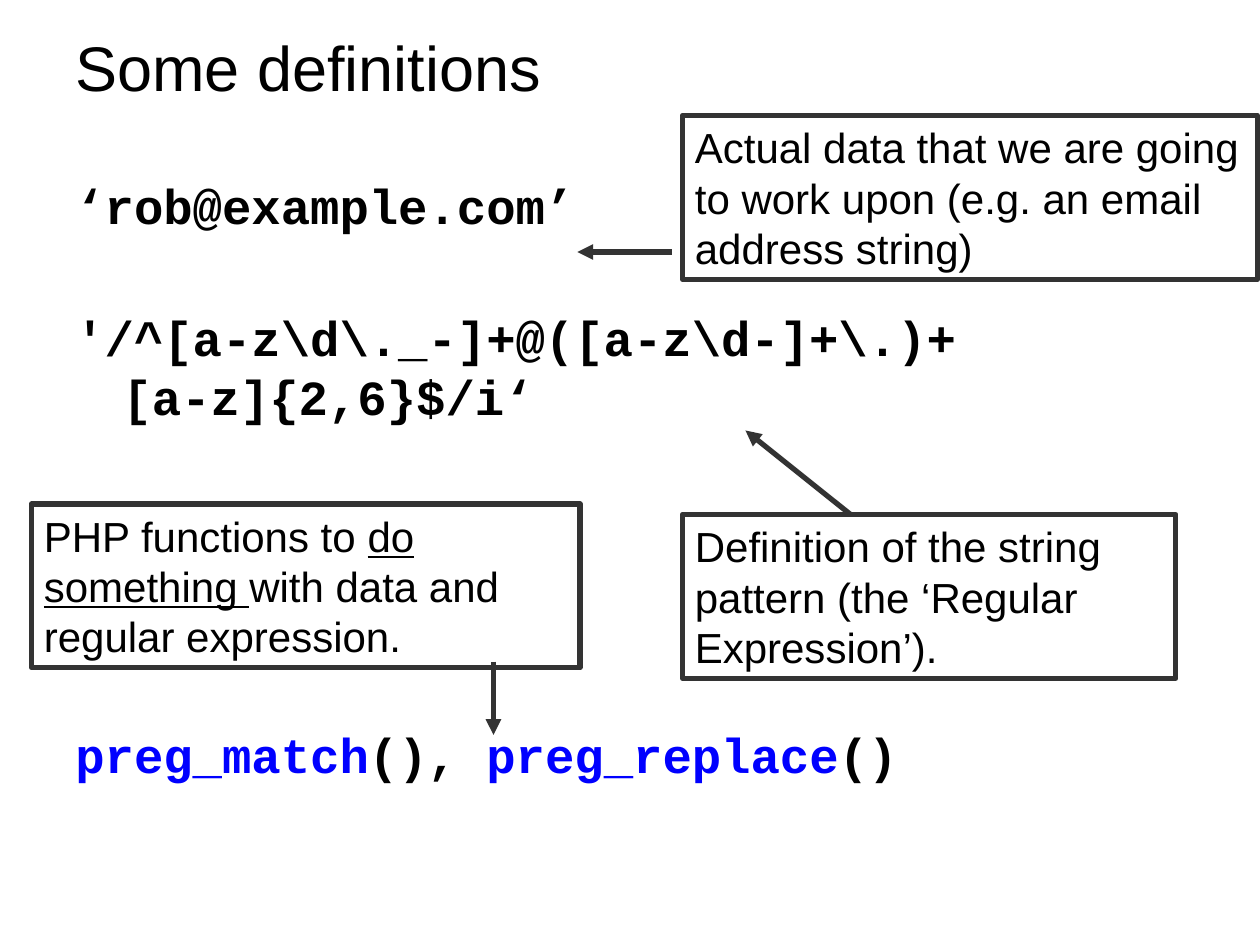
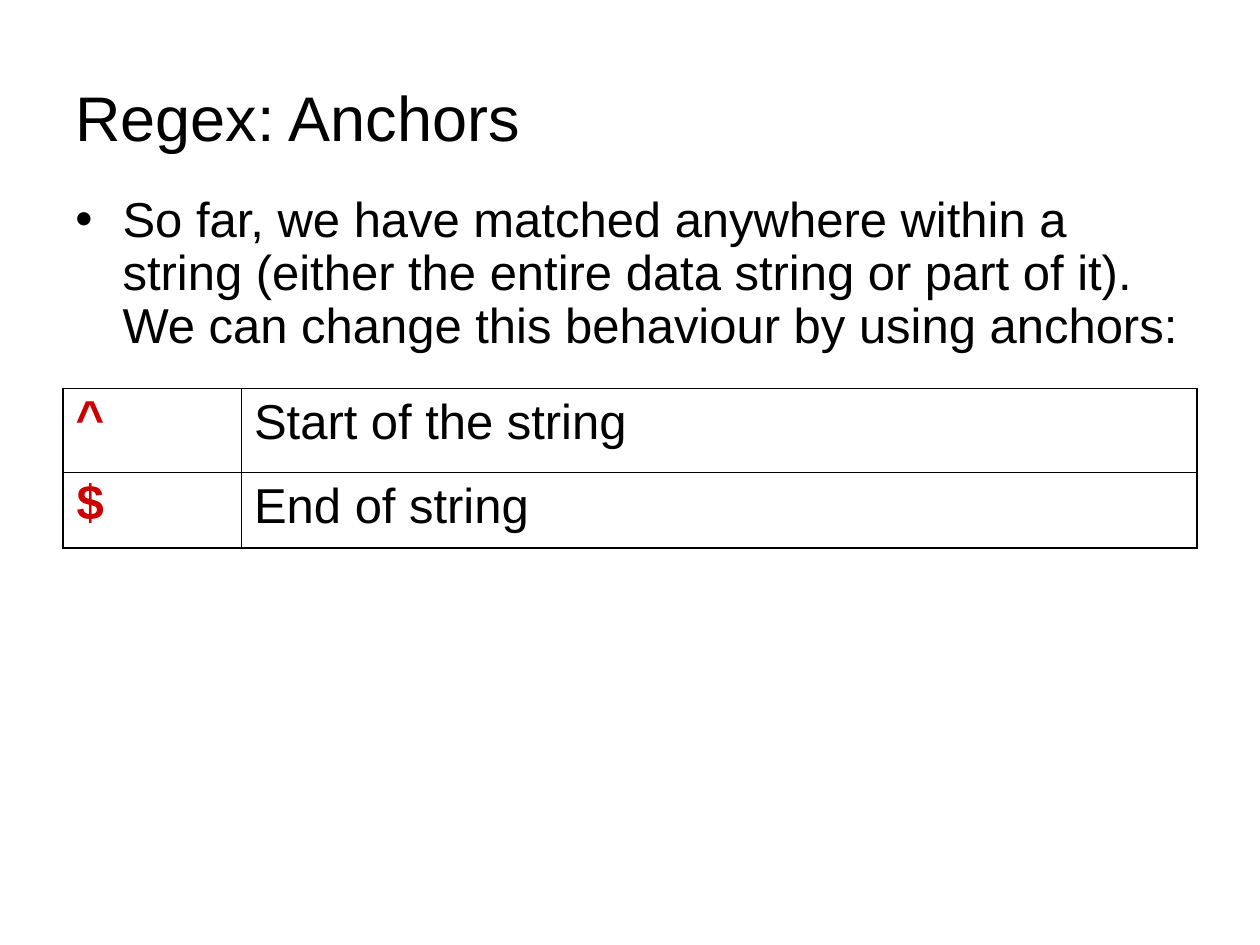
import pptx
import pptx.util
import pptx.dml.color
import pptx.enum.shapes
import pptx.enum.text
import pptx.oxml
import pptx.oxml.ns
from lxml import etree

Pt = pptx.util.Pt
ANCHOR = pptx.enum.text.MSO_ANCHOR

BLACK, BLUE, RED, GREY = "000000", "0000FF", "CC0000", "333333"
LEFT, WIDTH, HANG = 36, 648, 27
TITLE = {"size": 36}
NOTE = {"size": 24}
BODY = {"size": 28}
CODE = {"size": 28, "name": "Courier New", "bold": True}
SYMBOL = {**CODE, "color": RED}
FUNCTION = {**CODE, "color": BLUE}

# space before, runs
CODE_LINES = [
    (0, [("‘rob@example.com’", CODE)]),
    (41.5, [("'/^[a-z\\d\\._-]+@([a-z\\d-]+\\.)+\v[a-z]{2,6}$/i‘", CODE)]),
    (170.7, [("preg_match", FUNCTION), ("(), ", CODE),
             ("preg_replace", FUNCTION), ("()", CODE)]),
]
CODE_LINE_HEIGHT = 33.9

# left, top, width, runs, arrow start, arrow end
CALLOUTS = [
    (390, 66, 328.5,
     [("Actual data that we are going to work upon (e.g. an email address string)", NOTE)],
     (384, 144), (330, 144)),
    (390, 294, 282,
     [("Definition of the string pattern (the ‘Regular Expression’).", NOTE)],
     (486, 294), (426, 246)),
    (18, 288, 313.5,
     [("PHP functions to ", NOTE), ("do something ", {**NOTE, "underline": True}),
      ("with data and regular expression.", NOTE)],
     (282, 378), (282, 420)),
]
CALLOUT_HEIGHT = 93.6

ANCHORS_TEXT = ("So far, we have matched anywhere within a string (either the entire "
                "data string or part of it). We can change this behaviour by using anchors:")
ANCHORS = [("^", "Start of the string"), ("$", "End of string")]
COLUMN_WIDTHS, ROW_HEIGHTS = (102, 546), (48, 43.2)
OUTER, INNER = 1.08, 0.45


def rgb(value):
    return pptx.dml.color.RGBColor.from_string(value)


def add_runs(p, runs):
    for text, style in runs:
        for i, part in enumerate(text.split("\v")):
            if i:
                p.add_line_break()
            r = p.add_run()
            r.text = part
            values = {"name": "Arial", "bold": False, **style}
            r.font.color.rgb = rgb(values.pop("color", BLACK))
            values["size"] = Pt(values["size"])
            for key, value in values.items():
                setattr(r.font, key, value)


def add_text(s, top, height, anchor=ANCHOR.TOP):
    tf = s.shapes.add_textbox(Pt(LEFT), Pt(top), Pt(WIDTH), Pt(height)).text_frame
    tf.word_wrap = True
    tf.vertical_anchor = anchor
    return tf


def add_title(s, text, top, height):
    tf = add_text(s, top, height, ANCHOR.MIDDLE)
    add_runs(tf.paragraphs[0], [(text, TITLE)])


def hang(p, bullet=None):
    """Give the paragraph a hanging indent and, if asked, a bullet."""
    pPr = p._p.get_or_add_pPr()
    pPr.set("marL", str(Pt(HANG)))
    pPr.set("indent", str(-Pt(HANG)))
    if bullet:
        font = etree.SubElement(pPr, pptx.oxml.ns.qn("a:buFont"))
        font.set("typeface", "Arial")
        etree.SubElement(pPr, pptx.oxml.ns.qn("a:buChar")).set("char", bullet)


def add_callout(s, left, top, width, runs):
    sp = s.shapes.add_shape(pptx.enum.shapes.MSO_SHAPE.RECTANGLE,
                            Pt(left), Pt(top), Pt(width), Pt(CALLOUT_HEIGHT))
    sp.shadow.inherit = False
    sp.fill.background()
    sp.line.color.rgb = rgb(GREY)
    sp.line.width = Pt(3)
    tf = sp.text_frame
    tf.word_wrap = True
    tf.vertical_anchor = ANCHOR.TOP
    p = tf.paragraphs[0]
    p.alignment = pptx.enum.text.PP_ALIGN.LEFT
    add_runs(p, runs)


def add_arrow(s, start, end):
    line = s.shapes.add_connector(pptx.enum.shapes.MSO_CONNECTOR.STRAIGHT,
                                  *(Pt(v) for v in start + end))
    line.line.color.rgb = rgb(GREY)
    line.line.width = Pt(3)
    ln = line.line._get_or_add_ln()
    etree.SubElement(ln, pptx.oxml.ns.qn("a:tailEnd")).set("type", "triangle")
    etree.SubElement(line._element.spPr, pptx.oxml.ns.qn("a:effectLst"))


def set_borders(cell, widths):
    """Draw black borders; widths maps L, R, T, B to points."""
    tcPr = cell._tc.get_or_add_tcPr()
    for i, side in enumerate("LRTB"):
        ln = pptx.oxml.parse_xml(
            f'<a:ln{side} {pptx.oxml.ns.nsdecls("a")} w="{Pt(widths[side])}">'
            f'<a:solidFill><a:srgbClr val="{BLACK}"/></a:solidFill></a:ln{side}>')
        tcPr.insert(i, ln)


def add_anchor_table(s, top):
    table = s.shapes.add_table(len(ANCHORS), 2, Pt(LEFT), Pt(top),
                               Pt(WIDTH), Pt(sum(ROW_HEIGHTS))).table
    table.first_row = table.horz_banding = False
    for column, width in zip(table.columns, COLUMN_WIDTHS):
        column.width = Pt(width)
    for row, height in zip(table.rows, ROW_HEIGHTS):
        row.height = Pt(height)
    last = len(ANCHORS) - 1
    for i, texts in enumerate(ANCHORS):
        for j, (text, style) in enumerate(zip(texts, (SYMBOL, BODY))):
            cell = table.cell(i, j)
            cell.fill.background()
            add_runs(cell.text_frame.paragraphs[0], [(text, style)])
            edges = {"L": j == 0, "R": j == 1, "T": i == 0, "B": i == last}
            set_borders(cell, {k: OUTER if v else INNER for k, v in edges.items()})


def build_definitions(s):
    add_title(s, "Some definitions", 15, 46)
    tf = add_text(s, 92, 390)
    tf.margin_top = Pt(8)
    for i, (space, runs) in enumerate(CODE_LINES):
        p = tf.add_paragraph() if i else tf.paragraphs[0]
        p.space_before = Pt(space)
        p.line_spacing = Pt(CODE_LINE_HEIGHT)
        hang(p)
        add_runs(p, runs)
    for *box, start, end in CALLOUTS:
        add_callout(s, *box)
        add_arrow(s, start, end)


def build_anchors(s):
    add_title(s, "Regex: Anchors", 21.6, 90)
    p = add_text(s, 108, 102).paragraphs[0]
    p.line_spacing = 0.9
    p.space_before = Pt(7)
    hang(p, "•")
    add_runs(p, [(ANCHORS_TEXT, BODY)])
    add_anchor_table(s, 222)


def main():
    prs = pptx.Presentation()
    prs.slide_width, prs.slide_height = Pt(720), Pt(540)
    for build in (build_definitions, build_anchors):
        build(prs.slides.add_slide(prs.slide_layouts[6]))
    prs.save("out.pptx")


if __name__ == "__main__":
    main()
